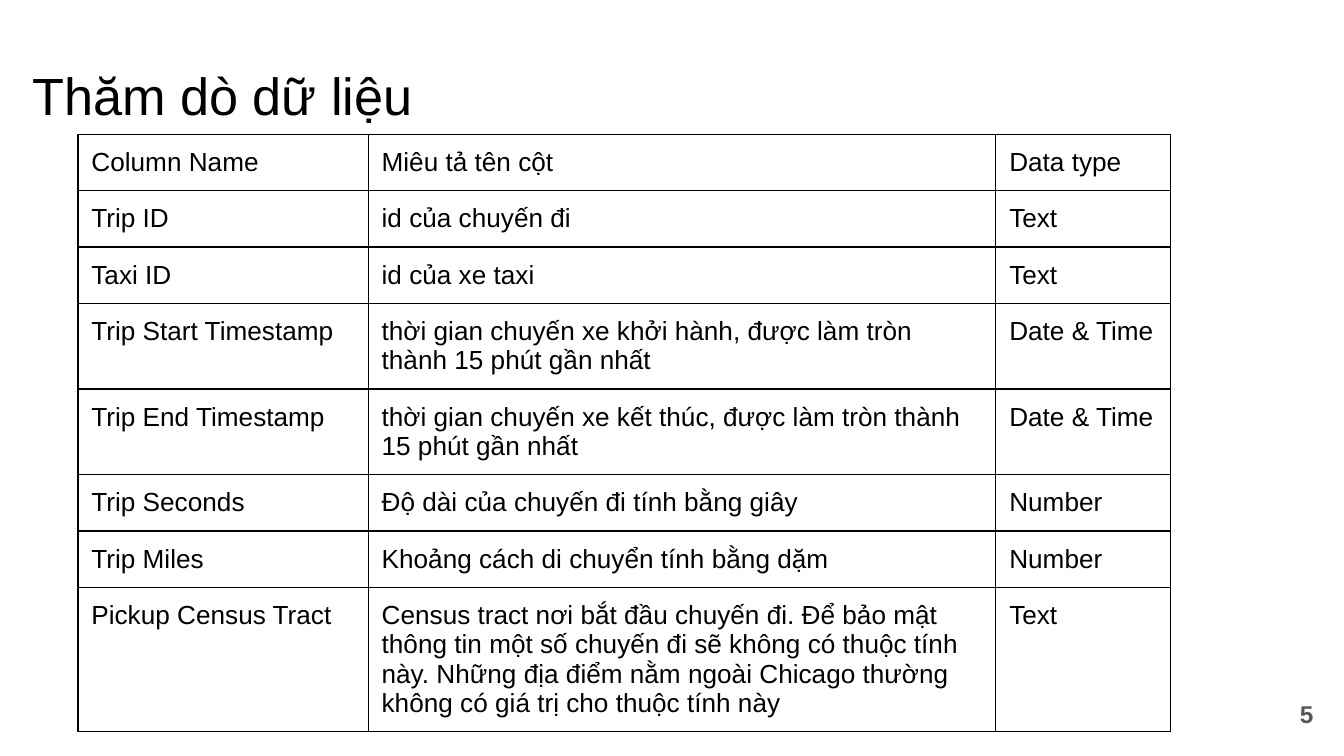
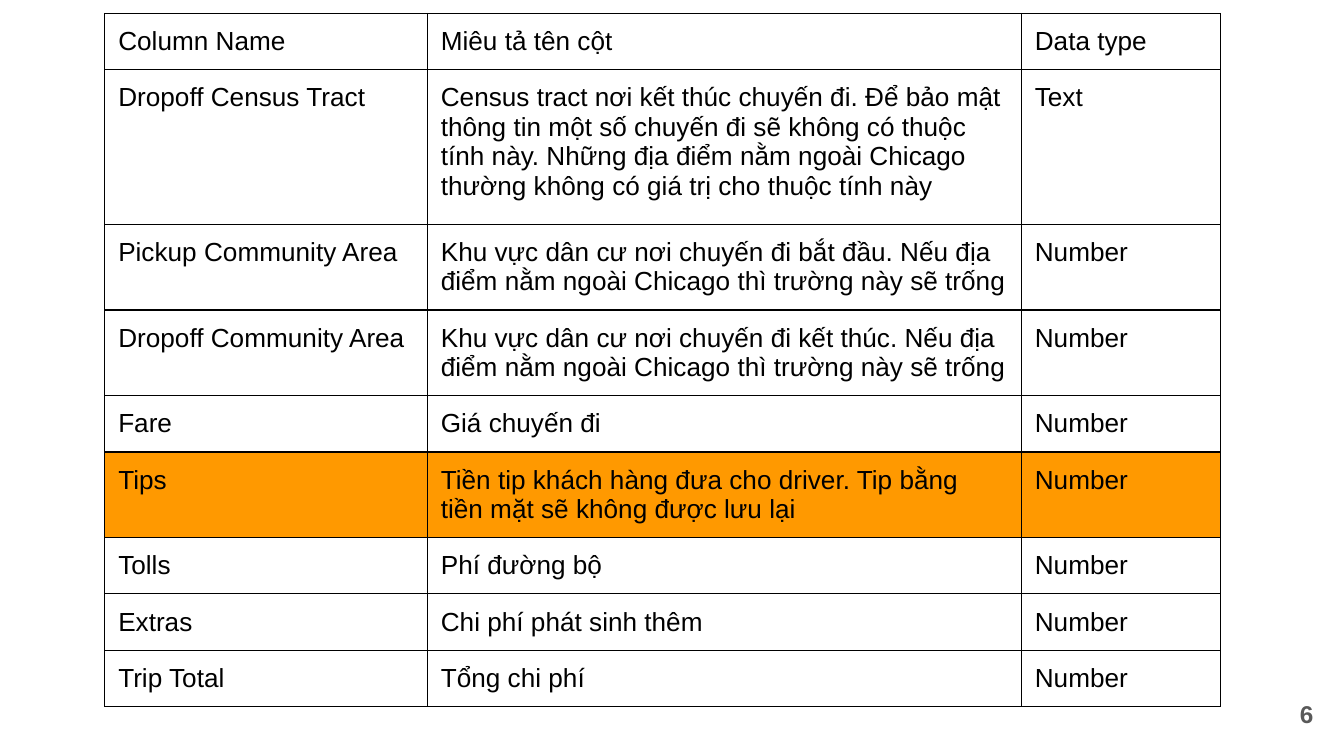
from lxml.etree import SubElement
from pptx import Presentation
from pptx.dml.color import RGBColor
from pptx.enum.text import MSO_ANCHOR, MSO_AUTO_SIZE, PP_ALIGN
from pptx.oxml.ns import qn
from pptx.util import Inches, Pt

# Shared formats
BLACK, GREY, ORANGE = "000000", "595959", "FF9900"
PAD = Inches(0.1)
MARGINS = {"margin_left": PAD, "margin_right": PAD,
           "margin_top": PAD, "margin_bottom": PAD}
FRAME = {**MARGINS, "word_wrap": True, "auto_size": MSO_AUTO_SIZE.NONE}
FONT = {"name": "Arial", "bold": False}
TITLE = {**FONT, "size": Pt(28)}
BODY = {**FONT, "size": Pt(14)}
NUMBER = {**FONT, "size": Pt(13), "bold": True}


def paint(color, code):
    color.rgb = RGBColor.from_string(code)


def write(frame, text, form, code, align=PP_ALIGN.LEFT):
    para = frame.paragraphs[0]
    para.alignment = align
    run = para.add_run()
    run.text = text
    for key, value in form.items():
        setattr(run.font, key, value)
    paint(run.font.color, code)


# Content: rows hold height, column name, description and data type
HEAD = ("Column Name", "Miêu tả tên cột", "Data type")
TRACT = ("Census tract nơi {} chuyến đi. Để bảo mật thông tin một số chuyến đi "
         "sẽ không có thuộc tính này. Những địa điểm nằm ngoài Chicago thường "
         "không có giá trị cho thuộc tính này")
TIME = "thời gian chuyến xe {}, được làm tròn thành 15 phút gần nhất"
AREA = ("Khu vực dân cư nơi chuyến đi {}. Nếu địa điểm nằm ngoài Chicago "
        "thì trường này sẽ trống")

PAGES = [
    {"page": 5, "title": "Thăm dò dữ liệu", "left": 0.58, "top": 1,
     "cols": (2.16, 4.67, 1.3), "mark": None,
     "rows": [
         (0.26, *HEAD),
         (0.26, "Trip ID", "id của chuyến đi", "Text"),
         (0.26, "Taxi ID", "id của xe taxi", "Text"),
         (0.4, "Trip Start Timestamp", TIME.format("khởi hành"), "Date & Time"),
         (0.4, "Trip End Timestamp", TIME.format("kết thúc"), "Date & Time"),
         (0.26, "Trip Seconds", "Độ dài của chuyến đi tính bằng giây", "Number"),
         (0.26, "Trip Miles", "Khoảng cách di chuyển tính bằng dặm", "Number"),
         (0.72, "Pickup Census Tract", TRACT.format("bắt đầu"), "Text"),
     ]},
    {"page": 6, "title": None, "left": 0.78, "top": 0.1,
     "cols": (2.4, 4.42, 1.48), "mark": "Tips",
     "rows": [
         (0.39, *HEAD),
         (1.15, "Dropoff Census Tract", TRACT.format("kết thúc"), "Text"),
         (0.57, "Pickup Community Area", AREA.format("bắt đầu"), "Number"),
         (0.57, "Dropoff Community Area", AREA.format("kết thúc"), "Number"),
         (0.22, "Fare", "Giá chuyến đi", "Number"),
         (0.57, "Tips", "Tiền tip khách hàng đưa cho driver. "
          "Tip bằng tiền mặt sẽ không được lưu lại", "Number"),
         (0.22, "Tolls", "Phí đường bộ", "Number"),
         (0.22, "Extras", "Chi phí phát sinh thêm", "Number"),
         (0.22, "Trip Total", "Tổng chi phí", "Number"),
     ]},
]

# Widescreen deck, 16 by 9
deck = Presentation()
deck.slide_width = Inches(10)
deck.slide_height = Inches(10 * 9 / 16)

for page in PAGES:
    # Title, where the slide has one
    slide = deck.slides.add_slide(deck.slide_layouts[5 if page["title"] else 6])
    if page["title"]:
        title = slide.shapes.title
        title.left, title.top = Inches(0.14), Inches(0.37)
        title.width, title.height = Inches(3.26), Inches(0.63)
        for key, value in FRAME.items():
            setattr(title.text_frame, key, value)
        title.text_frame.vertical_anchor = MSO_ANCHOR.TOP
        write(title.text_frame, page["title"], TITLE, BLACK)

    # Table
    rows, cols = page["rows"], page["cols"]
    table = slide.shapes.add_table(
        len(rows), len(cols), Inches(page["left"]), Inches(page["top"]),
        Inches(sum(cols)), Inches(sum(row[0] for row in rows))).table
    table.first_row = table.horz_banding = False
    for col, width in zip(table.columns, cols):
        col.width = Inches(width)
    for line, (height, *texts) in zip(table.rows, rows):
        line.height = Inches(height)
        for cell, text in zip(line.cells, texts):
            for key, value in MARGINS.items():
                setattr(cell, key, value)
            write(cell.text_frame, text, BODY, BLACK)

            # Borders come before the fill in the cell properties
            props = cell._tc.get_or_add_tcPr()
            for side in ("lnL", "lnR", "lnT", "lnB"):
                edge = SubElement(props, qn(f"a:{side}"), w=str(Pt(0.75)))
                solid = SubElement(edge, qn("a:solidFill"))
                SubElement(solid, qn("a:srgbClr"), val=BLACK)
            if texts[0] == page["mark"]:
                cell.fill.solid()
                paint(cell.fill.fore_color, ORANGE)
            else:
                cell.fill.background()

    # Page number
    box = slide.shapes.add_textbox(
        Inches(9.27), Inches(5.1), Inches(0.6), Inches(0.43))
    for key, value in FRAME.items():
        setattr(box.text_frame, key, value)
    box.text_frame.vertical_anchor = MSO_ANCHOR.MIDDLE
    write(box.text_frame, str(page["page"]), NUMBER, GREY, PP_ALIGN.RIGHT)

deck.save("out.pptx")
